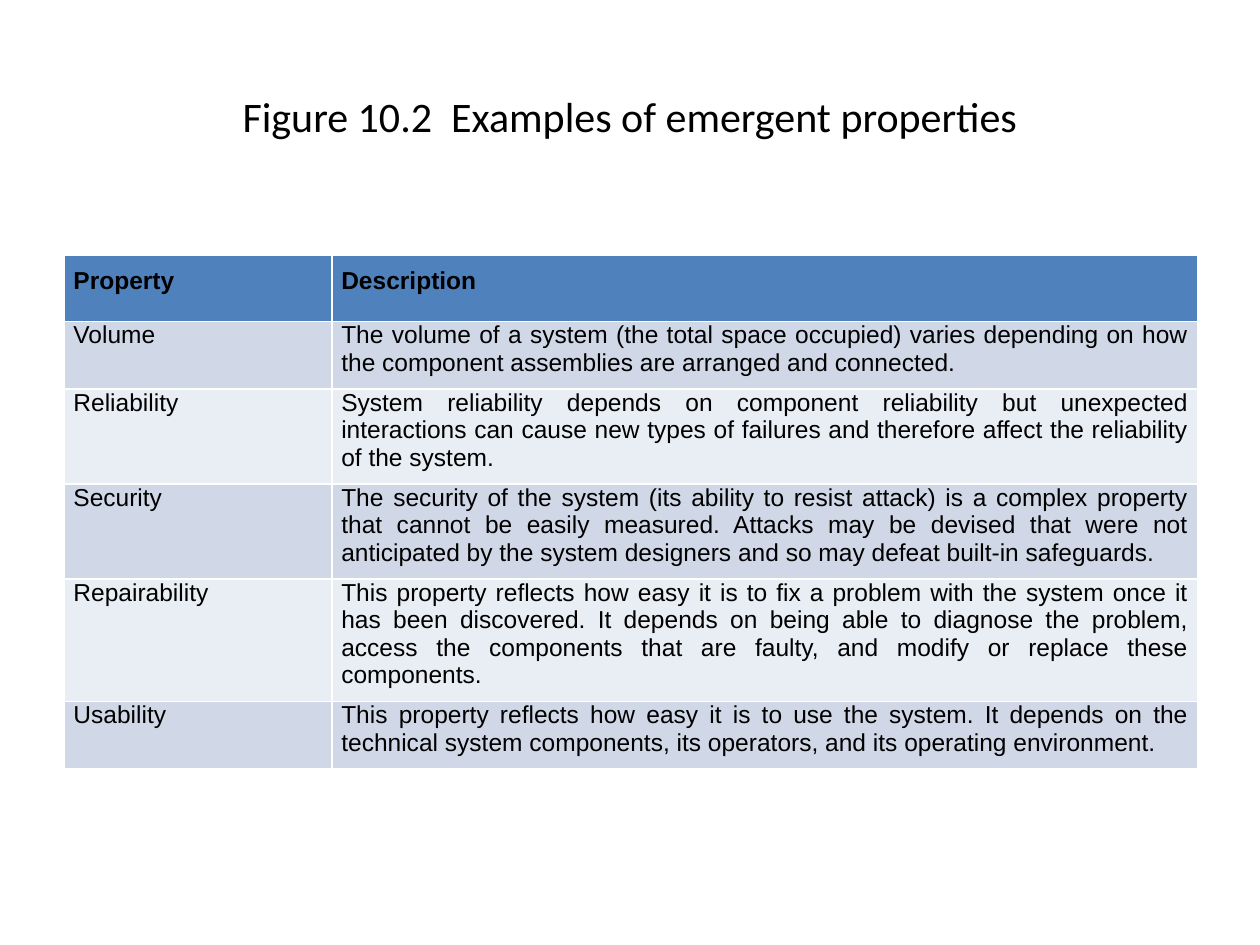
from pptx import Presentation
from pptx.dml.color import RGBColor as Rgb
from pptx.enum.text import MSO_ANCHOR as Anchor, PP_ALIGN as Align
from pptx.util import Cm, Pt

# Content
TITLE = "Figure 10.2  Examples of emergent properties"
HEADINGS = ("Property", "Description")
PROPERTIES = [
    ("Volume",
     "The volume of a system (the total space occupied) varies depending on how "
     "the component assemblies are arranged and connected."),
    ("Reliability",
     "System reliability depends on component reliability but unexpected "
     "interactions can cause new types of failures and therefore affect the "
     "reliability of the system."),
    ("Security",
     "The security of the system (its ability to resist attack) is a complex "
     "property that cannot be easily measured. Attacks may be devised that were "
     "not anticipated by the system designers and so may defeat built-in "
     "safeguards."),
    ("Repairability",
     "This property reflects how easy it is to fix a problem with the system "
     "once it has been discovered. It depends on being able to diagnose the "
     "problem, access the components that are faulty, and modify or replace "
     "these components."),
    ("Usability",
     "This property reflects how easy it is to use the system. It depends on the "
     "technical system components, its operators, and its operating environment."),
]
COLORS = {"text": "000000", "header": "4F81BD", "odd": "D0D8E8", "even": "E9EDF4"}
COLUMN_WIDTHS = (Cm(5.4), Cm(17.46))
HEADER_HEIGHT, ROW_HEIGHT = Cm(1.34), Cm(1.03)
SIDE_INSET, END_INSET = Cm(0.19), Cm(0.25)


def color(name):
    return Rgb.from_string(COLORS[name])


def write(frame, text, align, font_name, size, bold=False):
    frame.text = text
    paragraph = frame.paragraphs[0]
    paragraph.alignment = align
    font = paragraph.runs[0].font
    font.name, font.size, font.bold = font_name, Pt(size), bold
    font.color.rgb = color("text")


prs = Presentation()
prs.slide_width, prs.slide_height = Cm(25.4), Cm(19.05)
slide = prs.slides.add_slide(prs.slide_layouts[5])

# Title
title = slide.shapes.title
title.left, title.top, title.width, title.height = Cm(1.27), Cm(0.75), Cm(22.86), Cm(3.18)
title.text_frame.vertical_anchor = Anchor.MIDDLE
write(title.text_frame, TITLE, Align.CENTER, "Calibri", 24)

# Table of properties; rows grow to fit their text
rows = [HEADINGS, *PROPERTIES]
table = slide.shapes.add_table(
    len(rows), len(HEADINGS), Cm(1.29), Cm(5.14), sum(COLUMN_WIDTHS),
    HEADER_HEIGHT + ROW_HEIGHT * len(PROPERTIES)).table
for column, width in zip(table.columns, COLUMN_WIDTHS):
    column.width = width

for r, texts in enumerate(rows):
    is_header = r == 0
    table.rows[r].height = HEADER_HEIGHT if is_header else ROW_HEIGHT
    band = "header" if is_header else "odd" if r % 2 else "even"
    for c, text in enumerate(texts):
        cell = table.cell(r, c)
        cell.margin_left = cell.margin_right = SIDE_INSET
        cell.margin_top = END_INSET if is_header else 0
        cell.margin_bottom = END_INSET
        cell.fill.solid()
        cell.fill.fore_color.rgb = color(band)
        write(cell.text_frame, text, Align.JUSTIFY, "Arial", 14, is_header)

prs.save("out.pptx")
